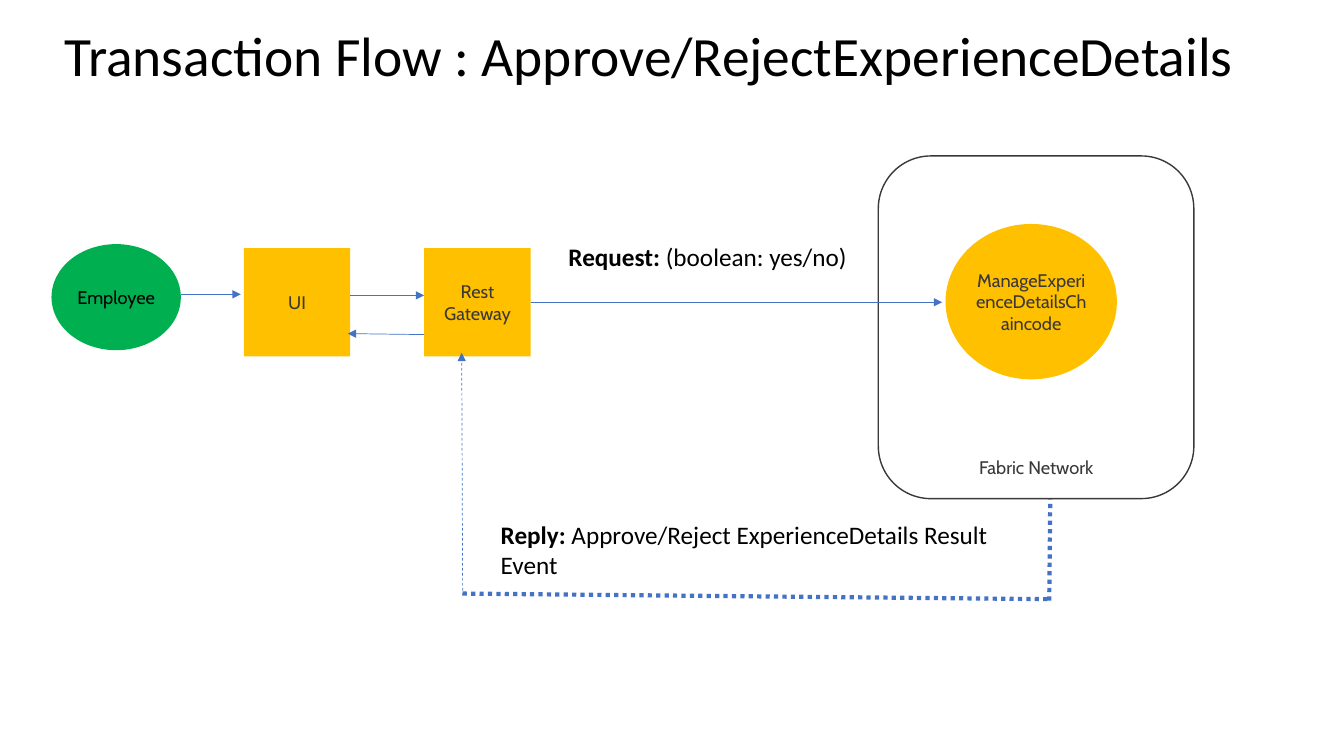
from dataclasses import dataclass
from typing import Optional

from lxml.etree import SubElement
from pptx import Presentation
from pptx.dml.color import RGBColor
from pptx.enum.dml import MSO_LINE
from pptx.enum.shapes import MSO_CONNECTOR, MSO_SHAPE
from pptx.enum.text import MSO_ANCHOR, MSO_AUTO_SIZE, PP_ALIGN
from pptx.oxml.ns import qn
from pptx.util import Pt

BLACK, CHARCOAL, WHITE = "000000", "3B3838", "FFFFFF"
GREEN, AMBER, BLUE = "00B050", "FFC000", "4472C4"


@dataclass
class Node:
    text: str
    kind: MSO_SHAPE
    left: float
    top: float
    width: float
    height: float
    fill: str = AMBER
    color: str = CHARCOAL
    outline: Optional[str] = None
    anchor: MSO_ANCHOR = MSO_ANCHOR.MIDDLE


@dataclass
class Link:
    x1: float
    y1: float
    x2: float
    y2: float
    width: float = 0.5
    dash: Optional[MSO_LINE] = None
    arrow: bool = True
    source: Optional[str] = None  # node whose right side the link leaves


@dataclass
class Caption:
    heading: str
    detail: str
    left: float
    top: float
    width: float
    height: float


BOX_TOP, BOX_W, BOX_H = 177.2, 76, 77.4
NODES = [
    Node("Employee", MSO_SHAPE.OVAL, 36.8, 174.4, 92.4, 75.8, GREEN, BLACK),
    Node("UI", MSO_SHAPE.RECTANGLE, 174.2, BOX_TOP, BOX_W, BOX_H),
    Node("Rest Gateway", MSO_SHAPE.RECTANGLE, 303, BOX_TOP, BOX_W, BOX_H),
    Node("Fabric Network", MSO_SHAPE.ROUNDED_RECTANGLE, 627.4, 111.4, 225.4, 244.8,
         WHITE, outline=CHARCOAL, anchor=MSO_ANCHOR.BOTTOM),
    Node("ManageExperienceDetailsChaincode", MSO_SHAPE.OVAL, 675.4, 160, 122.4, 111),
]
LINKS = [
    Link(129.6, 210.2, 172, 210.2),
    Link(250.2, 211, 303, 211),
    Link(379, 215.9, 673, 215.9, source="Rest Gateway"),
    Link(303, 239, 248.4, 238.3),
    Link(330.5, 424, 749.5, 428, 3, MSO_LINE.ROUND_DOT, False),
    Link(749.5, 429, 750.2, 356.4, 3, MSO_LINE.ROUND_DOT, False),
    Link(330.5, 425.5, 329.8, 252, dash=MSO_LINE.DASH),
]
CAPTIONS = [
    Caption("Request:", " (boolean: yes/no)", 399, 168.5, 293, 29),
    Caption("Reply: ", "Approve/Reject ExperienceDetails Result Event", 350.6, 367.4, 404, 51),
]


def rgb(value: str) -> RGBColor:
    return RGBColor.from_string(value)


def set_attrs(target, **values) -> None:
    for name, value in values.items():
        setattr(target, name, value)


def add_run(p, text: str, size: float, font: str, color: str, bold: bool = False) -> None:
    r = p.add_run()
    r.text = text
    set_attrs(r.font, size=Pt(size), name=font, bold=bold)
    r.font.color.rgb = rgb(color)


def add_title(s, text: str) -> None:
    title = s.shapes.title
    set_attrs(title, left=Pt(38.9), top=Pt(10.8), width=Pt(882), height=Pt(62))
    set_attrs(title.text_frame, word_wrap=True, auto_size=MSO_AUTO_SIZE.NONE,
              vertical_anchor=MSO_ANCHOR.MIDDLE)
    p = title.text_frame.paragraphs[0]
    set_attrs(p, alignment=PP_ALIGN.LEFT, line_spacing=0.9)
    add_run(p, text, 39.6, "Calibri", BLACK)


def add_node(s, node: Node):
    sp = s.shapes.add_shape(node.kind, Pt(node.left), Pt(node.top),
                            Pt(node.width), Pt(node.height))
    sp.shadow.inherit = False
    sp.fill.solid()
    sp.fill.fore_color.rgb = rgb(node.fill)
    if node.outline:
        sp.line.color.rgb = rgb(node.outline)
        sp.line.width = Pt(1)
    else:
        sp.line.fill.background()
    tf = sp.text_frame
    inset = Pt(3.6)
    set_attrs(tf, word_wrap=True, vertical_anchor=node.anchor, margin_left=inset,
              margin_right=inset, margin_top=inset, margin_bottom=inset)
    p = tf.paragraphs[0]
    p.alignment = PP_ALIGN.CENTER
    add_run(p, node.text, 13, "Cabin", node.color)
    return sp


def add_link(s, link: Link, nodes: dict) -> None:
    cx = s.shapes.add_connector(MSO_CONNECTOR.STRAIGHT, Pt(link.x1), Pt(link.y1),
                                Pt(link.x2), Pt(link.y2))
    if link.source:
        cx.begin_connect(nodes[link.source], 3)
    cx.line.color.rgb = rgb(BLUE)
    cx.line.width = Pt(link.width)
    if link.dash:
        cx.line.dash_style = link.dash
    if link.arrow:
        SubElement(cx.line._get_or_add_ln(), qn("a:tailEnd"), type="triangle")
    SubElement(cx._element.spPr, qn("a:effectLst"))


def add_caption(s, caption: Caption) -> None:
    box = s.shapes.add_textbox(Pt(caption.left), Pt(caption.top),
                               Pt(caption.width), Pt(caption.height))
    tf = box.text_frame
    set_attrs(tf, word_wrap=True, auto_size=MSO_AUTO_SIZE.SHAPE_TO_FIT_TEXT)
    p = tf.paragraphs[0]
    add_run(p, caption.heading, 18, "Calibri", BLACK, bold=True)
    add_run(p, caption.detail, 18, "Calibri", BLACK)


def main() -> None:
    prs = Presentation()
    set_attrs(prs, slide_width=Pt(960), slide_height=Pt(540))
    s = prs.slides.add_slide(prs.slide_layouts[5])
    add_title(s, "Transaction Flow : Approve/RejectExperienceDetails")
    nodes = {node.text: add_node(s, node) for node in NODES}
    for link in LINKS:
        add_link(s, link, nodes)
    for caption in CAPTIONS:
        add_caption(s, caption)
    prs.save("out.pptx")


if __name__ == "__main__":
    main()
